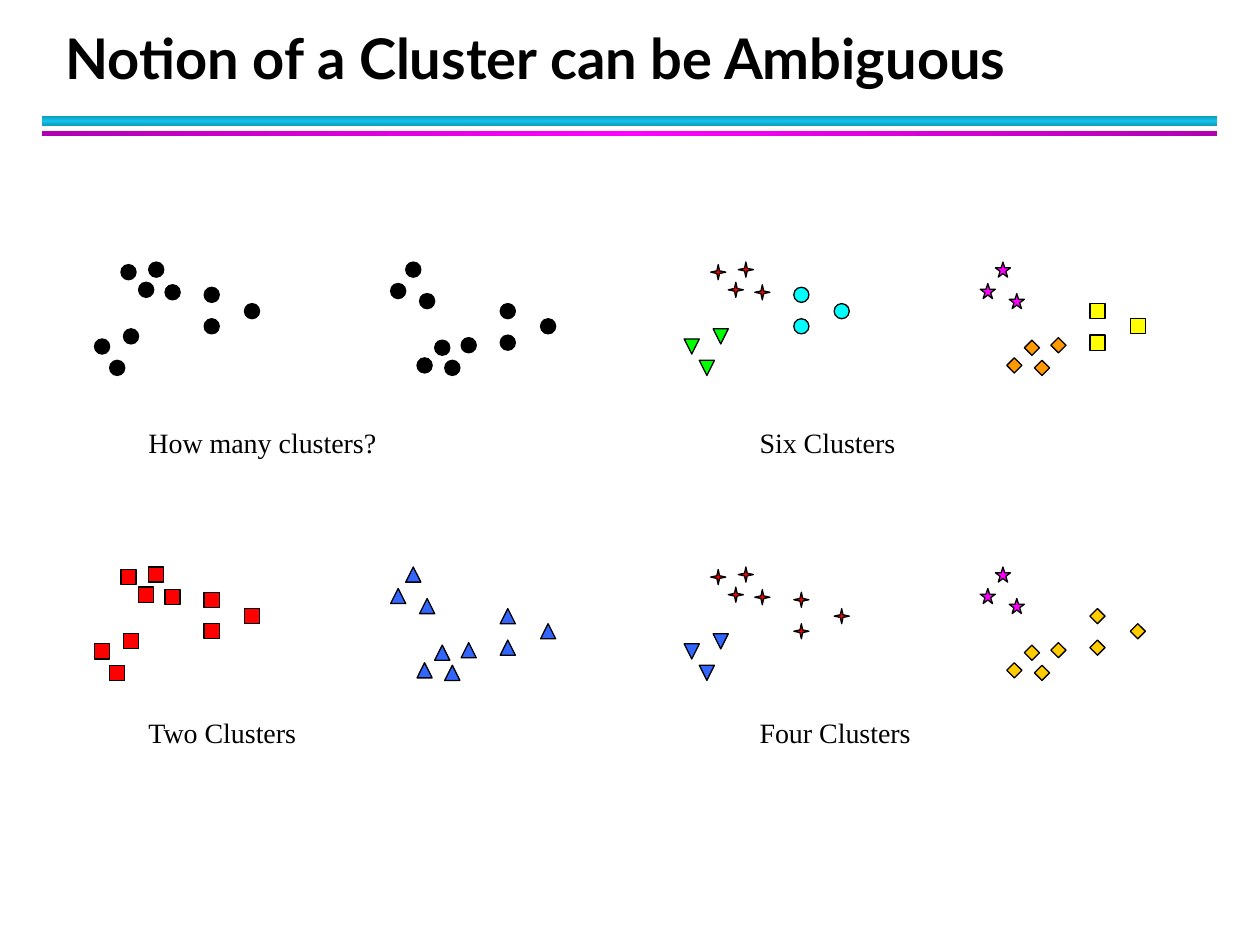
from copy import deepcopy

from pptx import Presentation
from pptx.dml.color import RGBColor
from pptx.enum.shapes import MSO_SHAPE
from pptx.enum.text import MSO_ANCHOR, MSO_AUTO_SIZE, PP_ALIGN
from pptx.oxml.ns import qn
from pptx.util import Pt

PX = 9144  # EMU in one px, 100 px to the inch

BLACK = RGBColor(0x00, 0x00, 0x00)
RED = RGBColor(0xFF, 0x00, 0x00)
BLUE = RGBColor(0x33, 0x66, 0xFF)
GREEN = RGBColor(0x00, 0xFF, 0x00)
CYAN = RGBColor(0x00, 0xFF, 0xFF)
PINK = RGBColor(0xFF, 0x00, 0xFF)
PLUM = RGBColor(0xB1, 0x00, 0xB1)
ORANGE = RGBColor(0xFF, 0x99, 0x00)
YELLOW = RGBColor(0xFF, 0xFF, 0x00)
GOLD = RGBColor(0xFF, 0xCC, 0x00)
TEAL = RGBColor(0x0E, 0x9A, 0xB9)
AQUA = RGBColor(0x12, 0xC2, 0xE9)

RECT = MSO_SHAPE.RECTANGLE
DOT = MSO_SHAPE.OVAL
SPARK = MSO_SHAPE.STAR_4_POINT
STAR = MSO_SHAPE.STAR_5_POINT
RHOMB = MSO_SHAPE.DIAMOND
CONE = MSO_SHAPE.ISOSCELES_TRIANGLE

# Each mark is a shape, a fill and a turn in degrees
BALL = (DOT, BLACK, 0)
SPARKS = (SPARK, RED, 0)
STARS = (STAR, PINK, 0)
RED_BOX = (RECT, RED, 0)
BLUE_UP = (CONE, BLUE, 0)
GOLD_GEM = (RHOMB, GOLD, 0)

# Point groups of the left half; the right half is the same set upside down
GROUPS = (
    ((56, 18), (21, 2), (43, 0), (35, 16)),
    ((23, 53), (0, 61), (12, 78)),
    ((87, 20), (119, 33), (87, 45)),
)
SHIFT, DEPTH, SIZE = 235, 78, 12

# Left, top, label offset, label, marks of the left half, marks of the right
PANELS = (
    (75, 208, (33, 125), "How many clusters?", (BALL,) * 3, (BALL,) * 3),
    (543, 208, (50, 125), "Six Clusters",
     (SPARKS, (CONE, GREEN, 180), (DOT, CYAN, 0)),
     ((RHOMB, ORANGE, 0), STARS, (RECT, YELLOW, 0))),
    (75, 450, (33, 113), "Two Clusters", (RED_BOX,) * 3, (BLUE_UP,) * 3),
    (543, 450, (50, 113), "Four Clusters",
     (SPARKS, (CONE, BLUE, 180), SPARKS),
     (GOLD_GEM, STARS, GOLD_GEM)),
)


def scale(*sizes):
    return [size * PX for size in sizes]


def write(frame, text, font="Times New Roman", size=16, bold=False,
          anchor=MSO_ANCHOR.TOP, space=None):
    frame.word_wrap = True
    frame.auto_size = MSO_AUTO_SIZE.NONE
    frame.vertical_anchor = anchor
    para = frame.paragraphs[0]
    para.alignment = PP_ALIGN.LEFT
    if space:
        para.line_spacing = Pt(space)
    run = para.add_run()
    run.text = text
    run.font.name = font
    run.font.size = Pt(size)
    run.font.bold = bold
    run.font.color.rgb = BLACK


def add_title(slide, left, top, width, height):
    title = slide.shapes.title
    title.left, title.top, title.width, title.height = scale(
        left, top, width, height)
    write(title.text_frame, "Notion of a Cluster can be Ambiguous",
          font="Lato", size=32, bold=True, anchor=MSO_ANCHOR.BOTTOM, space=36)


def add_bar(slide, box, edge, core, angle):
    """Add a rule whose fill runs from edge to core and back."""
    bar = slide.shapes.add_shape(RECT, *scale(*box))
    bar.shadow.inherit = False
    bar.line.fill.background()
    bar.fill.gradient()
    bar.fill.gradient_angle = angle
    stops = next(bar._element.iter(qn("a:gsLst")))
    stops.append(deepcopy(stops[0]))
    for stop, place, color in zip(bar.fill.gradient_stops,
                                  (0, 0.5, 1), (edge, core, edge)):
        stop.position = place
        stop.color.rgb = color


def add_mark(group, left, top, mark):
    kind, color, turn = mark
    shape = group.shapes.add_shape(kind, *scale(left, top, SIZE, SIZE))
    shape.shadow.inherit = False
    shape.rotation = turn
    shape.fill.solid()
    shape.fill.fore_color.rgb = color
    shape.line.color.rgb = BLACK
    shape.line.width = Pt(0.75)


def add_panel(slide, left, top, offset, label, first, second):
    """Add both halves of the point set and the label below them."""
    group = slide.shapes.add_group_shape()
    for points, near, far in zip(GROUPS, first, second):
        for x, y in points:
            add_mark(group, left + x, top + y, near)
            add_mark(group, left + SHIFT + x, top + DEPTH - y, far)
    dx, dy = offset
    box = group.shapes.add_textbox(*scale(left + dx, top + dy, 250, 37))
    write(box.text_frame, label)


def main():
    deck = Presentation()
    deck.slide_width, deck.slide_height = scale(1000, 750)
    slide = deck.slides.add_slide(deck.slide_layouts[5])
    add_title(slide, 42, 17, 906, 60)
    add_bar(slide, (33, 92, 933, 8), TEAL, AQUA, 90)
    add_bar(slide, (33, 104, 933, 4), PLUM, PINK, 0)
    for panel in PANELS:
        add_panel(slide, *panel)
    deck.save("out.pptx")


if __name__ == "__main__":
    main()
